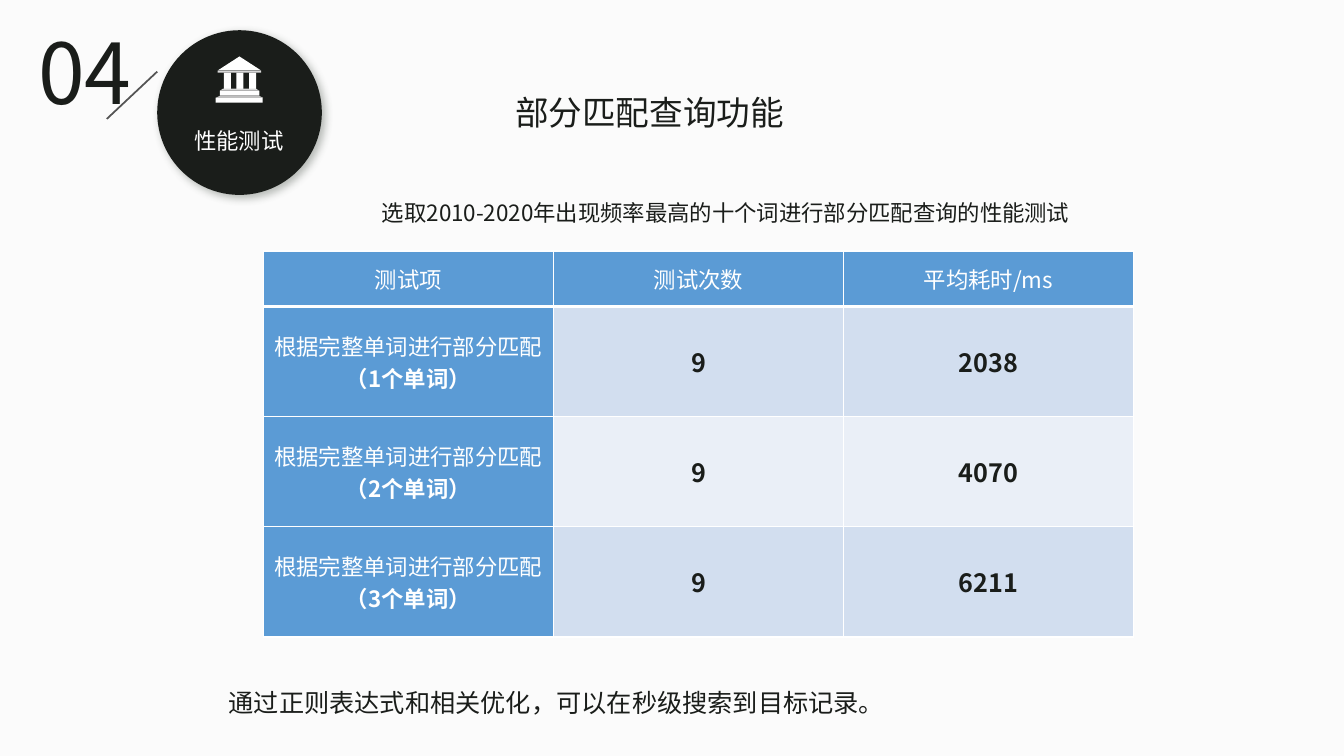
import pptx
import pptx.util
import pptx.dml.color
import pptx.enum.shapes
import pptx.enum.text
import pptx.oxml
import pptx.oxml.ns

COLORS = {
    "background": "FBFBFB", "ink": "1A1D1A", "white": "FFFFFF", "slash": "545454",
    "shade": "BFBFBF", "light shade": "D9D9D9", "shadow": "505950",
    "header": "5B9BD5", "odd row": "D2DEEF", "even row": "EAEFF7",
}
ALIGN = pptx.enum.text.PP_ALIGN
ANCHOR = pptx.enum.text.MSO_ANCHOR
SHAPE = pptx.enum.shapes.MSO_SHAPE
NAMESPACE = pptx.oxml.ns.nsdecls("a")
CJK_FONT = "Noto Sans CJK SC"
HEADINGS = ["测试项", "测试次数", "平均耗时/ms"]
RESULTS = [(1, "9", "2038"), (2, "9", "4070"), (3, "9", "6211")]


def color(name):
    return pptx.dml.color.RGBColor.from_string(COLORS[name])


def set_all(target, values):
    for name, value in values.items():
        setattr(target, name, value)


class SlideBuilder:
    """Places styled elements; lengths are percentages of the slide's width and height."""

    def __init__(self, presentation):
        self.width = presentation.slide_width
        self.height = presentation.slide_height
        self.slide = presentation.slides.add_slide(presentation.slide_layouts[5])
        self.paint(self.slide.background, "background")

    def x(self, percent):
        return round(self.width * percent / 100)

    def y(self, percent):
        return round(self.height * percent / 100)

    def box(self, left, top, width, height):
        return self.x(left), self.y(top), self.x(width), self.y(height)

    def paint(self, target, fill):
        target.fill.solid()
        target.fill.fore_color.rgb = color(fill)

    def add_run(self, paragraph, text, size, ink="ink", font=CJK_FONT, bold=False):
        run = paragraph.add_run()
        run.text = text
        set_all(run.font, {"name": font, "size": pptx.util.Pt(size), "bold": bold})
        run.font.color.rgb = color(ink)
        run._r.get_or_add_rPr().append(pptx.oxml.parse_xml(
            f'<a:ea {NAMESPACE} typeface="{CJK_FONT}"/>'))

    def fill_text(self, shape, text, size, align=ALIGN.LEFT, spacing=1.3, **style):
        set_all(shape.text_frame, {
            "word_wrap": True,
            "auto_size": pptx.enum.text.MSO_AUTO_SIZE.NONE,
            "vertical_anchor": ANCHOR.TOP,
        })
        paragraph = shape.text_frame.paragraphs[0]
        set_all(paragraph, {"alignment": align,
                            "line_spacing": pptx.util.Pt(size * spacing)})
        self.add_run(paragraph, text, size, **style)

    def title(self, area, text, size):
        title = self.slide.shapes.title
        set_all(title, dict(zip(("left", "top", "width", "height"), self.box(*area))))
        self.fill_text(title, text, size)

    def text(self, area, text, size, **style):
        self.fill_text(self.slide.shapes.add_textbox(*self.box(*area)), text, size, **style)

    def finish(self, shape, fill):
        shape.shadow.inherit = False
        self.paint(shape, fill)
        shape.line.fill.background()
        return shape

    def shape(self, kind, area, fill, parent=None):
        shapes = (parent or self.slide).shapes
        return self.finish(shapes.add_shape(kind, *self.box(*area)), fill)

    def polygon(self, points, fill, parent):
        corners = [(self.x(left), self.y(top)) for left, top in points]
        builder = parent.shapes.build_freeform(*corners[0])
        builder.add_line_segments(corners[1:], close=True)
        self.finish(builder.convert_to_shape(), fill)

    def line(self, start, end, ink, weight):
        connector = self.slide.shapes.add_connector(
            pptx.enum.shapes.MSO_CONNECTOR.STRAIGHT,
            self.x(start[0]), self.y(start[1]), self.x(end[0]), self.y(end[1]))
        connector.line.color.rgb = color(ink)
        connector.line.width = pptx.util.Pt(weight)
        connector._element.spPr.append(pptx.oxml.parse_xml(f"<a:effectLst {NAMESPACE}/>"))

    def badge(self, area):
        circle = self.shape(SHAPE.OVAL, area, "ink")
        effects = circle._element.spPr.find(pptx.oxml.ns.qn("a:effectLst"))
        effects.append(pptx.oxml.parse_xml(
            f'<a:outerShdw {NAMESPACE} blurRad="76200" dist="38100" dir="2700000" '
            f'algn="tl" rotWithShape="0"><a:srgbClr val="{COLORS["shadow"]}">'
            '<a:alpha val="40000"/></a:srgbClr></a:outerShdw>'))

    def temple_icon(self):
        icon = self.slide.shapes.add_group_shape()
        self.polygon([(19.43, 9.33), (17.82, 7.47), (16.2, 9.33)], "white", icon)
        for area in [(16.05, 12.93, 3.5, 0.67), (16.35, 12, 2.95, 0.67)]:
            self.shape(SHAPE.RECTANGLE, area, "white", icon)
        for column in range(3):
            self.shape(SHAPE.RECTANGLE, (16.65 + 0.94 * column, 9.6, 0.53, 2.27), "white", icon)
        for inner, outer, top, fill in [(1.47, 1.75, 12.67, "shade"),
                                        (1.23, 1.47, 11.73, "light shade")]:
            center, bottom = 17.82, top + 0.27
            self.polygon([(center + inner, top), (center - inner, top),
                          (center - outer, bottom), (center + outer, bottom)], fill, icon)
        self.shape(SHAPE.RECTANGLE, (16.2, 9.33, 3.23, 0.27), "light shade", icon)

    def cell(self, cell, runs, fill, bottom=1):
        """Fill one cell; each run is (text, size, ink, bold)."""
        set_all(cell, {
            "vertical_anchor": ANCHOR.MIDDLE, "margin_top": 0, "margin_bottom": 0,
            "margin_left": pptx.util.Inches(0.07), "margin_right": pptx.util.Inches(0.07),
        })
        properties = cell._tc.get_or_add_tcPr()
        for side, weight in {"L": 1, "R": 1, "T": 1, "B": bottom}.items():
            properties.append(pptx.oxml.parse_xml(
                f'<a:ln{side} {NAMESPACE} w="{pptx.util.Pt(weight)}"><a:solidFill>'
                f'<a:srgbClr val="{COLORS["white"]}"/></a:solidFill></a:ln{side}>'))
        self.paint(cell, fill)
        paragraph = cell.text_frame.paragraphs[0]
        paragraph.alignment = ALIGN.CENTER
        for text, size, ink, bold in runs:
            self.add_run(paragraph, text, size, ink, bold=bold)

    def results_table(self, left, top, column_width, header_height, row_height):
        rows, columns = len(RESULTS) + 1, len(HEADINGS)
        area = (left, top, column_width * columns, header_height + row_height * len(RESULTS))
        table = self.slide.shapes.add_table(rows, columns, *self.box(*area)).table
        for column in table.columns:
            column.width = self.x(column_width)
        for index, row in enumerate(table.rows):
            row.height = self.y(row_height if index else header_height)
        for index, heading in enumerate(HEADINGS):
            self.cell(table.cell(0, index), [(heading, 16, "white", False)], "header", 3)
        for index, (words, *values) in enumerate(RESULTS, 1):
            self.cell(table.cell(index, 0), [
                ("根据完整单词进行部分匹配", 16, "white", False),
                (f"（{words}个单词）", 16, "white", True)], "header")
            fill = "odd row" if index % 2 else "even row"
            for column, value in enumerate(values, 1):
                self.cell(table.cell(index, column), [(value, 18, "ink", True)], fill)


def main():
    presentation = pptx.Presentation()
    presentation.slide_width = pptx.util.Inches(13.33)
    presentation.slide_height = pptx.util.Inches(7.5)
    builder = SlideBuilder(presentation)
    builder.text((2.1, 0.93, 8.55, 14.8), "04", 60)
    builder.line((11.7, 9.47), (7.95, 15.73), "slash", 1.25)
    builder.title((37.57, 11.07, 38.25, 6.67), "部分匹配查询功能", 24)
    builder.badge((11.7, 4, 12.25, 21.78))
    builder.temple_icon()
    builder.text((10.05, 15.87, 15.45, 4.93), "性能测试", 16, align=ALIGN.CENTER, ink="white")
    builder.results_table(19.6, 33.2, 21.58, 7.33, 14.58)
    builder.text((27.68, 25.63, 53.33, 8.53),
                 "选取2010-2020年出现频率最高的十个词进行部分匹配查询的性能测试", 16, spacing=1.2)
    builder.text((16.28, 89.87, 74.78, 5.33),
                 "通过正则表达式和相关优化，可以在秒级搜索到目标记录。", 18, font="Times New Roman")
    presentation.save("out.pptx")


if __name__ == "__main__":
    main()
